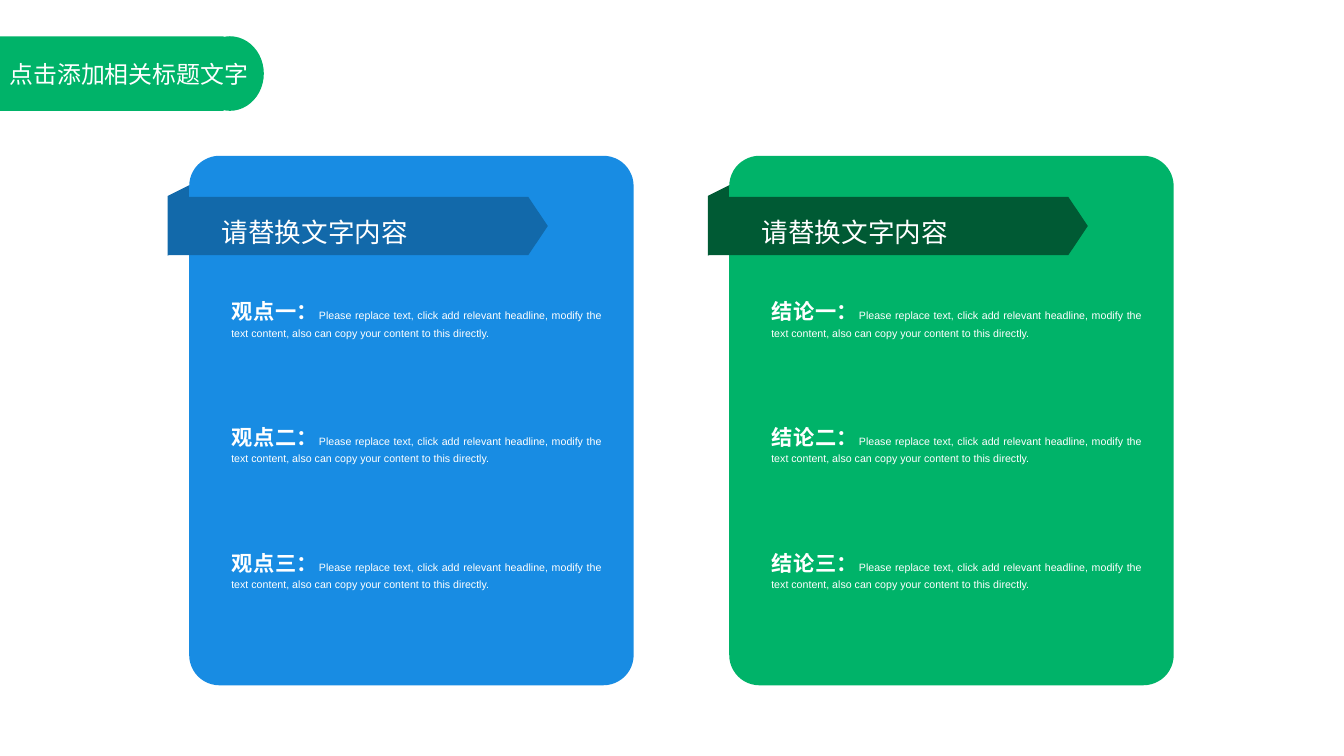
from lxml.etree import SubElement
from pptx import Presentation
from pptx.dml.color import RGBColor
from pptx.enum.shapes import MSO_SHAPE
from pptx.enum.text import PP_ALIGN
from pptx.oxml.ns import qn
from pptx.util import Inches, Pt

WIDE, HIGH = Inches(14.06), Inches(7.91)
WHITE = RGBColor(0xFF, 0xFF, 0xFF)
GREEN = RGBColor(0x00, 0xB3, 0x69)
FOREST = RGBColor(0x00, 0x5A, 0x34)
BLUE = RGBColor(0x18, 0x8C, 0xE3)
NAVY = RGBColor(0x12, 0x69, 0xAA)
CJK = "Noto Sans CJK SC"
BODY = ("Please replace text, click add relevant headline, modify the text "
        "content, also can copy your content to this directly.")
LEFT, PITCH = 14.08, 40.18
FIRST, STEP = 38.81, 16.62


def area(x, y, w, h):
    """Turn percentages of the slide's size into lengths."""
    return [int(part * size / 100)
            for part, size in zip((x, y, w, h), (WIDE, HIGH, WIDE, HIGH))]


def block(slide, kind, box, color, adjust=None):
    shape = slide.shapes.add_shape(kind, *area(*box))
    shape.shadow.inherit = False
    shape.fill.solid()
    shape.fill.fore_color.rgb = color
    shape.line.fill.background()
    if adjust is not None:
        shape.adjustments[0] = adjust
    return shape


def text(slide, box, runs, font="Arial", align=None, space=None, inset=0):
    """Add one paragraph; each run is (words, size, bold)."""
    frame = slide.shapes.add_textbox(*area(*box)).text_frame
    frame.word_wrap = True
    frame.margin_left = frame.margin_right = Inches(inset)
    frame.margin_top = frame.margin_bottom = Inches(inset / 2)
    para = frame.paragraphs[0]
    para.alignment = align
    para.line_spacing = space
    for words, size, bold in runs:
        run = para.add_run()
        run.text = words
        run.font.size = Pt(size)
        run.font.bold = bold
        run.font.name = font
        run.font.color.rgb = WHITE
        SubElement(run.font._element, qn("a:ea")).set("typeface", CJK)


def title(slide, words):
    block(slide, MSO_SHAPE.RECTANGLE, (0, 4.8, 16.64, 9.86), GREEN)
    block(slide, MSO_SHAPE.OVAL, (14.58, 4.8, 5.05, 9.86), GREEN)
    text(slide, (0, 7.21, 19.63, 5.06), [(words, 18, False)],
         font=CJK, inset=0.1)


def fold(slide, x, color):
    """Add the slanted end of the ribbon that goes behind the card."""
    shape = block(slide, MSO_SHAPE.FLOWCHART_DATA,
                  (x, 26.93, 5.55, 3.92), color)
    shape.rotation = 270
    shape.element.spPr.find(qn("a:xfrm")).set("flipH", "1")


def card(slide, x, label, color, dark):
    fold(slide, x - 3.27, dark)
    block(slide, MSO_SHAPE.ROUNDED_RECTANGLE,
          (x, 20.61, 33.07, 70.04), color, 0.068)
    block(slide, MSO_SHAPE.PENTAGON,
          (x - 1.56, 26.04, 28.24, 7.71), dark, 0.335)
    text(slide, (x + 2.42, 27.69, 18.56, 4.68),
         [("请替换文字内容", 20, False)], space=1.2)
    for row, count in enumerate("一二三"):
        text(slide, (x + 3.13, FIRST + row * STEP, 27.6, 6.07),
             [(f"{label}{count}：", 16, True), (BODY, 8, False)],
             align=PP_ALIGN.JUSTIFY, space=1.2)


def main():
    deck = Presentation()
    deck.slide_width, deck.slide_height = WIDE, HIGH
    slide = deck.slides.add_slide(deck.slide_layouts[6])
    title(slide, "点击添加相关标题文字")
    card(slide, LEFT, "观点", BLUE, NAVY)
    card(slide, LEFT + PITCH, "结论", GREEN, FOREST)
    deck.save("out.pptx")


if __name__ == "__main__":
    main()
